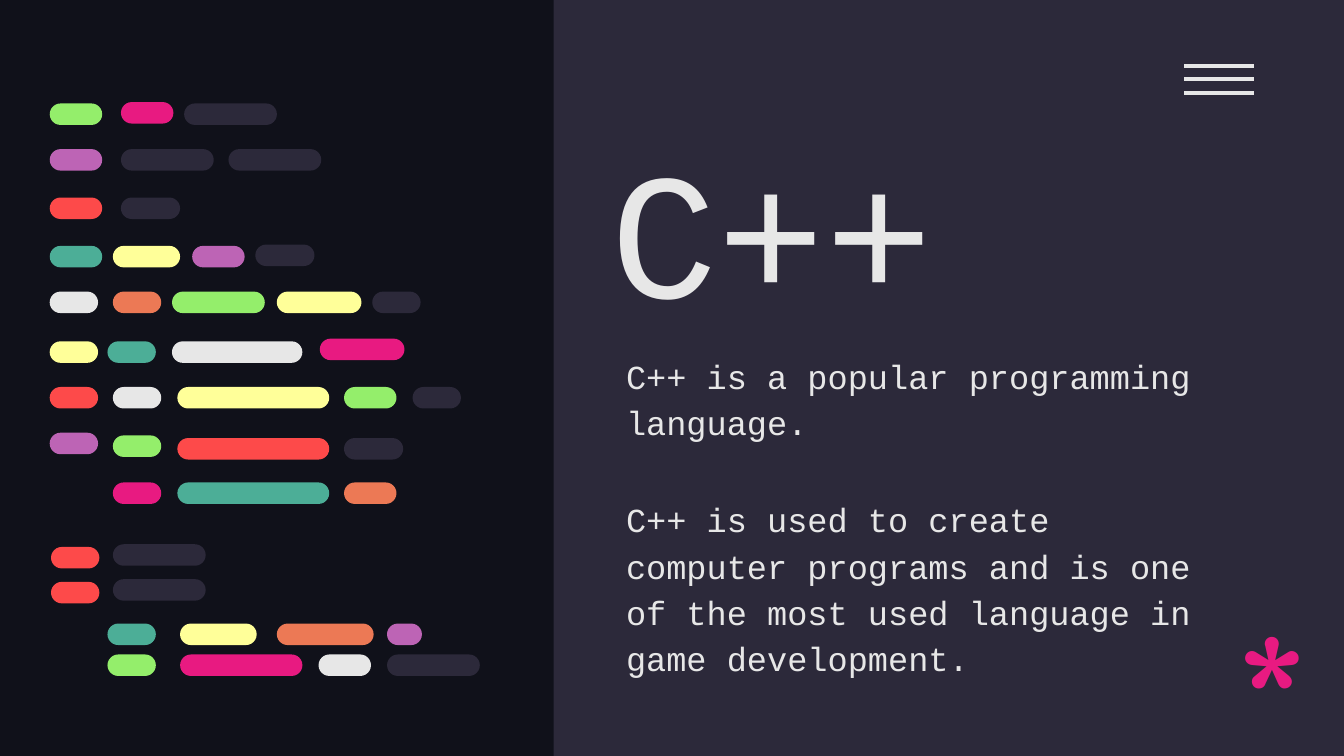
from dataclasses import dataclass

from lxml import etree
from pptx import Presentation
from pptx.dml.color import RGBColor
from pptx.enum import shapes, text
from pptx.oxml import ns
from pptx.util import Inches, Pt


@dataclass(frozen=True)
class Theme:
    night: str = "10111A"
    slate: str = "2C293A"
    white: str = "E7E7E7"
    green: str = "94EE6B"
    pink: str = "E81A81"
    purple: str = "BD64B5"
    red: str = "FD4A4A"
    teal: str = "4CAE97"
    yellow: str = "FFFF99"
    orange: str = "EC7955"
    display_size: int = 96
    body_size: int = 18
    code_font: str = "Courier New"
    accent_font: str = "Comfortaa"


THEME = Theme()
SLIDE_WIDTH = 10
SLIDE_HEIGHT = SLIDE_WIDTH * 9 / 16
PANEL_LEFT = 4.12
PILL_HEIGHT = 0.16

# Top of each code line, then (left, width, colour name) of its tokens
CODE_LINES = [
    (0.77, [(0.37, 0.39, "green"), (1.37, 0.69, "slate")]),
    (0.76, [(0.9, 0.39, "pink")]),
    (1.11, [(0.37, 0.39, "purple"), (0.9, 0.69, "slate"), (1.7, 0.69, "slate")]),
    (1.47, [(0.37, 0.39, "red"), (0.9, 0.44, "slate")]),
    (1.83, [(0.37, 0.39, "teal"), (0.84, 0.5, "yellow"), (1.43, 0.39, "purple")]),
    (1.82, [(1.9, 0.44, "slate")]),
    (2.17, [(0.37, 0.36, "white"), (0.84, 0.36, "orange"), (1.28, 0.69, "green"),
            (2.06, 0.63, "yellow"), (2.77, 0.36, "slate")]),
    (2.54, [(0.37, 0.36, "yellow"), (0.8, 0.36, "teal"), (1.28, 0.97, "white")]),
    (2.52, [(2.38, 0.63, "pink")]),
    (2.88, [(0.37, 0.36, "red"), (0.84, 0.36, "white"), (1.32, 1.13, "yellow"),
            (2.56, 0.39, "green"), (3.07, 0.36, "slate")]),
    (3.22, [(0.37, 0.36, "purple")]),
    (3.24, [(0.84, 0.36, "green")]),
    (3.26, [(1.32, 1.13, "red"), (2.56, 0.44, "slate")]),
    (3.59, [(0.84, 0.36, "pink"), (1.32, 1.13, "teal"), (2.56, 0.39, "orange")]),
    (4.05, [(0.84, 0.69, "slate")]),
    (4.07, [(0.38, 0.36, "red")]),
    (4.31, [(0.84, 0.69, "slate")]),
    (4.33, [(0.38, 0.36, "red")]),
    (4.64, [(0.8, 0.36, "teal"), (1.34, 0.57, "yellow"), (2.06, 0.72, "orange"),
            (2.88, 0.26, "purple")]),
    (4.87, [(0.8, 0.36, "green"), (1.34, 0.91, "pink"), (2.37, 0.39, "white"),
            (2.88, 0.69, "slate")]),
]


def fill_solid(target, colour):
    target.fill.solid()
    target.fill.fore_color.rgb = RGBColor.from_string(colour)


def add_block(parent, kind, box, colour):
    block = parent.add_shape(kind, *map(Inches, box))
    fill_solid(block, colour)
    block.line.fill.background()
    block.shadow.inherit = False
    return block


def write(holder, words, size, colour, font, anchor=text.MSO_ANCHOR.TOP, spacing=1.0):
    frame = holder.text_frame
    frame.text = words
    frame_format = {"word_wrap": True, "auto_size": text.MSO_AUTO_SIZE.NONE,
                    "vertical_anchor": anchor}
    frame_format.update({f"margin_{side}": Inches(0.1)
                         for side in ("left", "top", "right", "bottom")})
    for name, value in frame_format.items():
        setattr(frame, name, value)
    paragraph = frame.paragraphs[0]
    paragraph.alignment = text.PP_ALIGN.LEFT
    paragraph.line_spacing = spacing
    run_font = paragraph.runs[0].font
    for name, value in {"name": font, "size": Pt(size), "bold": False}.items():
        setattr(run_font, name, value)
    run_font.color.rgb = RGBColor.from_string(colour)


def add_title(slide, words, box):
    title = slide.shapes.title
    for name, value in zip(("left", "top", "width", "height"), box):
        setattr(title, name, Inches(value))
    write(title, words, THEME.display_size, THEME.white, THEME.code_font,
          anchor=text.MSO_ANCHOR.BOTTOM)
    # Bring the title in front of the panel
    title.element.getparent().append(title.element)


def add_body(slide, words, box):
    body = add_block(slide.shapes, shapes.MSO_SHAPE.RECTANGLE, box, THEME.slate)
    write(body, words, THEME.body_size, THEME.white, THEME.code_font, spacing=1.15)


def add_asterisk(slide, box):
    asterisk = slide.shapes.add_textbox(*map(Inches, box))
    write(asterisk, "*", THEME.display_size, THEME.pink, THEME.accent_font)


def add_menu_icon(slide, left, right, top, gap):
    icon = slide.shapes.add_group_shape()
    for row in range(3):
        y = Inches(top + row * gap)
        bar = icon.shapes.add_connector(shapes.MSO_CONNECTOR.STRAIGHT,
                                        Inches(left), y, Inches(right), y)
        bar.line.width = Pt(2.25)
        bar.line.color.rgb = RGBColor.from_string(THEME.white)
        etree.SubElement(bar.element.spPr, ns.qn("a:effectLst"))


def add_code_art(slide):
    art = slide.shapes.add_group_shape()
    for top, tokens in CODE_LINES:
        for left, width, colour in tokens:
            pill = add_block(art.shapes, shapes.MSO_SHAPE.ROUNDED_RECTANGLE,
                             (left, top, width, PILL_HEIGHT), getattr(THEME, colour))
            pill.adjustments[0] = 0.5


def main():
    deck = Presentation()
    deck.slide_width, deck.slide_height = Inches(SLIDE_WIDTH), Inches(SLIDE_HEIGHT)
    slide = deck.slides.add_slide(deck.slide_layouts[5])
    fill_solid(slide.background, THEME.night)

    add_block(slide.shapes, shapes.MSO_SHAPE.RECTANGLE,
              (PANEL_LEFT, 0, SLIDE_WIDTH - PANEL_LEFT, SLIDE_HEIGHT), THEME.slate)
    add_menu_icon(slide, left=8.81, right=9.33, top=0.49, gap=0.1)
    add_title(slide, "C++", (4.44, 0.44, 4.6, 2.15))
    add_body(slide, "C++ is a popular programming language.", (4.56, 2.5, 4.6, 1))
    add_asterisk(slide, (9.11, 4.35, 0.57, 0.87))
    add_code_art(slide)
    add_body(slide, "C++ is used to create computer programs and is one of the most "
                    "used language in game development.", (4.56, 3.57, 4.6, 1.62))
    deck.save("out.pptx")


if __name__ == "__main__":
    main()
